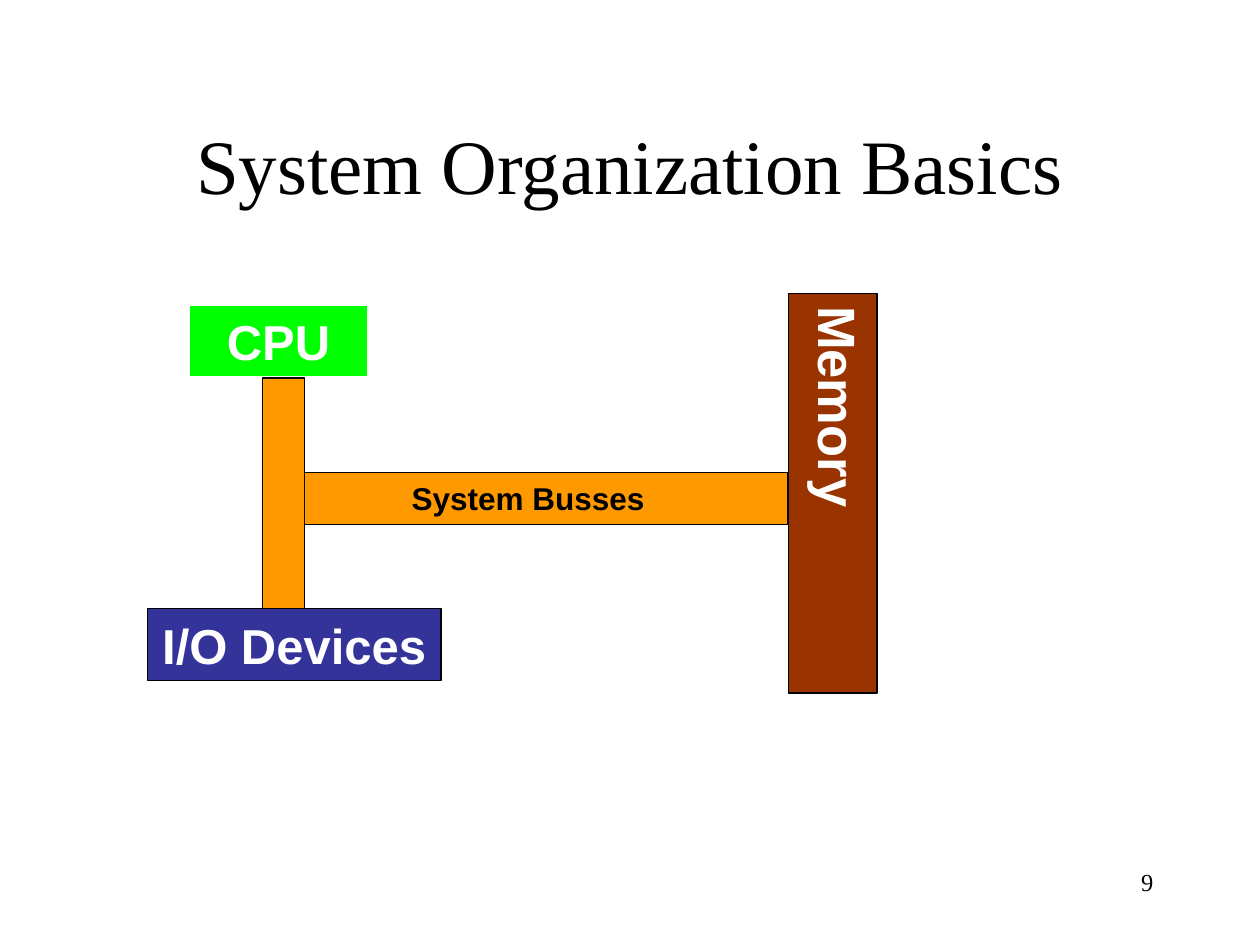
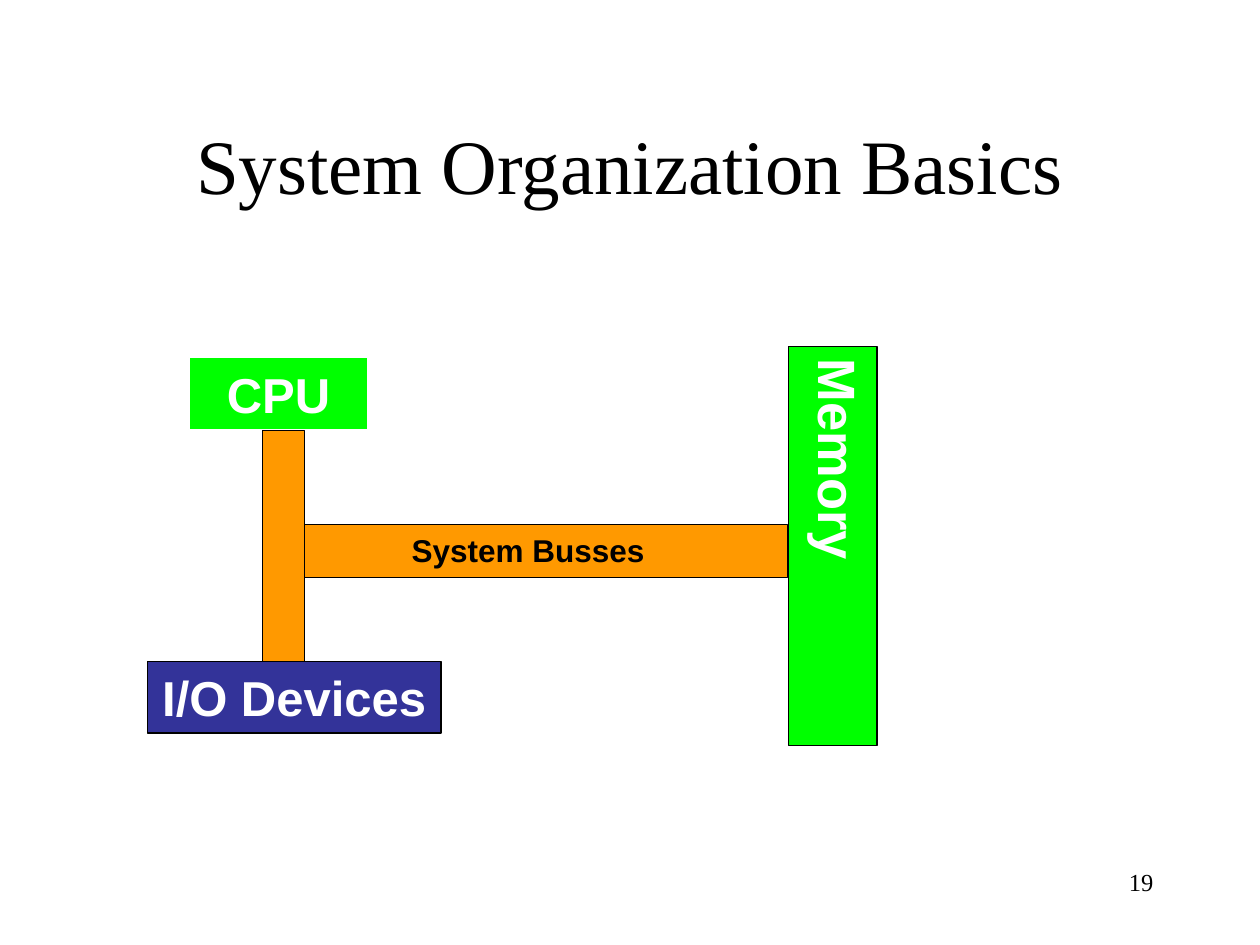
from pptx import Presentation
from pptx.dml.color import RGBColor
from pptx.enum import shapes, text
from pptx.util import Cm, Pt

COLORS = {
    "black": "000000",
    "white": "FFFFFF",
    "green": "00FF00",
    "brown": "993300",
    "blue": "333399",
    "orange": "FF9900",
}
TITLE_FONT = "Times New Roman"
DIAGRAM_FONT = "Arial"
WIDE_INSET, NARROW_INSET = Cm(0.25), Cm(0.13)


def color(name):
    return RGBColor.from_string(COLORS[name])


def write(shape, words, size, font_name, font_color="black", bold=False,
          align=text.PP_ALIGN.CENTER, anchor=text.MSO_ANCHOR.TOP):
    frame = shape.text_frame
    frame.word_wrap = True
    frame.vertical_anchor = anchor
    frame.margin_left = frame.margin_right = WIDE_INSET
    frame.margin_top = frame.margin_bottom = NARROW_INSET
    paragraph = frame.paragraphs[0]
    paragraph.text = words
    paragraph.alignment = align
    paragraph.font.name = font_name
    paragraph.font.size = Pt(size)
    paragraph.font.bold = bold
    paragraph.font.color.rgb = color(font_color)


def add_title(slide, words):
    title = slide.shapes.title
    title.left, title.top, title.width, title.height = Cm(1.9), Cm(1.7), Cm(21.6), Cm(3.18)
    write(title, words, 44, TITLE_FONT, anchor=text.MSO_ANCHOR.MIDDLE)


def add_block(slide, left, top, width, height, fill, line="black"):
    block = slide.shapes.add_shape(
        shapes.MSO_SHAPE.RECTANGLE, Cm(left), Cm(top), Cm(width), Cm(height))
    block.shadow.inherit = False
    block.fill.solid()
    block.fill.fore_color.rgb = color(fill)
    block.line.color.rgb = color(line)
    block.line.width = Pt(0.75)
    return block


def add_text(slide, left, top, width, height, words, size, font_name, **style):
    box = slide.shapes.add_textbox(Cm(left), Cm(top), Cm(width), Cm(height))
    write(box, words, size, font_name, **style)


def turn_text(shape):
    frame = shape.text_frame
    frame.margin_left = frame.margin_right = NARROW_INSET
    frame.margin_top = frame.margin_bottom = WIDE_INSET
    shape.element.txBody.bodyPr.set("vert", "eaVert")


def add_diagram(slide, top, memory_fill):
    memory = add_block(slide, 15.9, top, 1.78, 8.05, memory_fill)
    write(memory, "Memory", 30, DIAGRAM_FONT, "white", True)
    turn_text(memory)
    cpu = add_block(slide, 3.81, top + 0.23, 3.61, 1.45, "green", "white")
    write(cpu, "CPU", 28, DIAGRAM_FONT, "white", True)
    devices = add_block(slide, 2.97, top + 6.35, 5.92, 1.45, "blue")
    write(devices, "I/O Devices", 28, DIAGRAM_FONT, "white", True)
    add_block(slide, 5.29, top + 1.7, 0.85, 4.65, "orange")
    bus_top = top + 3.6
    add_block(slide, 6.14, bus_top, 9.74, 1.06, "orange")
    add_text(slide, 8.05, bus_top, 5.72, 1.02, "System Busses", 18, DIAGRAM_FONT,
             bold=True, align=text.PP_ALIGN.LEFT)


def add_page_number(slide, number):
    add_text(slide, 18.2, 17.35, 5.3, 1.27, str(number), 14, TITLE_FONT,
             align=text.PP_ALIGN.RIGHT)


def main():
    presentation = Presentation()
    presentation.slide_width, presentation.slide_height = Cm(25.4), Cm(19.05)
    title_only = presentation.slide_layouts[5]
    for number, diagram_top, memory_fill in ((9, 5.92, "brown"), (19, 6.98, "green")):
        slide = presentation.slides.add_slide(title_only)
        add_title(slide, "System Organization Basics")
        add_diagram(slide, diagram_top, memory_fill)
        add_page_number(slide, number)
    presentation.save("out.pptx")


if __name__ == "__main__":
    main()
